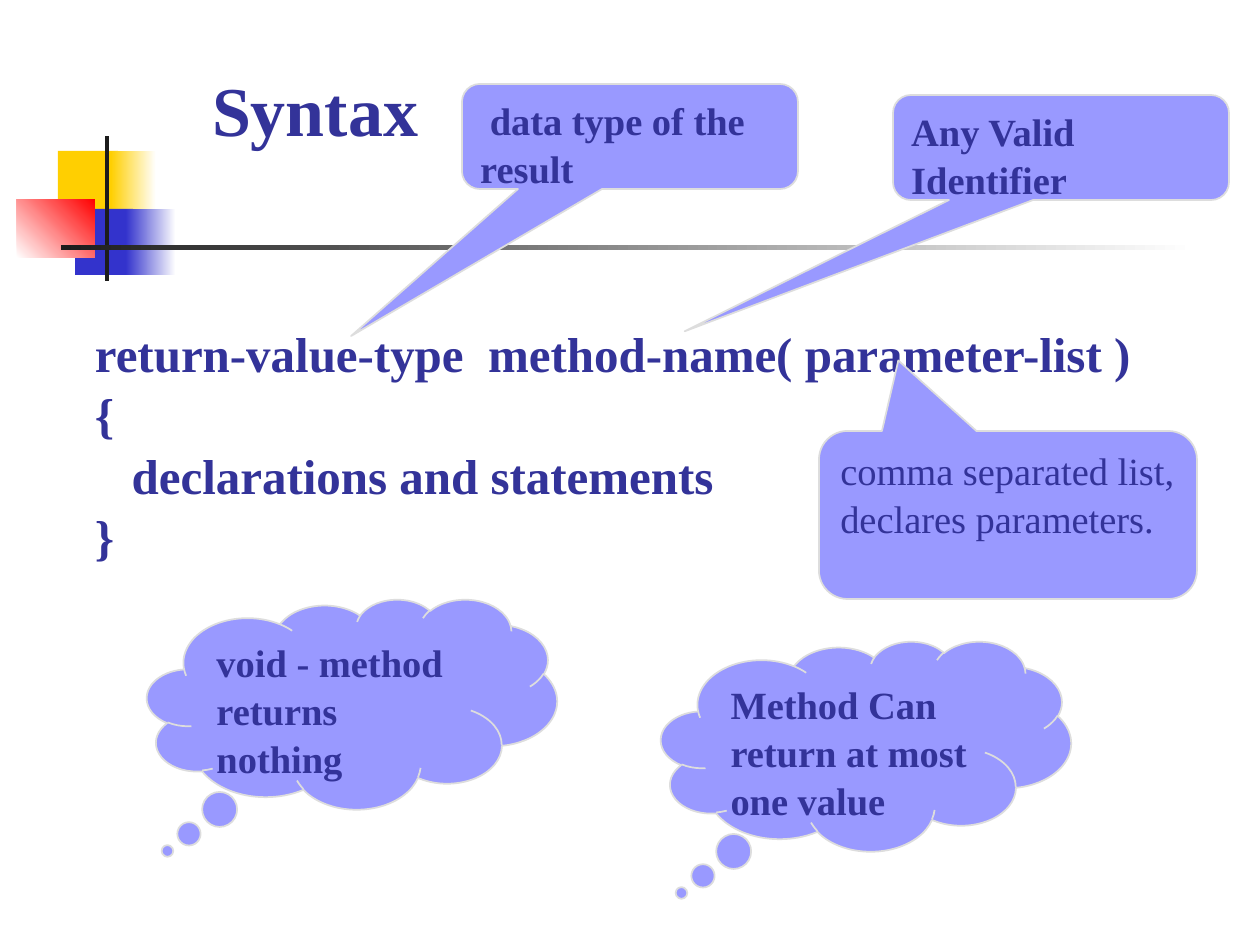
from pptx import Presentation
from pptx.dml.color import RGBColor
from pptx.enum.shapes import MSO_SHAPE
from pptx.enum.text import MSO_ANCHOR, PP_ALIGN
from pptx.util import Emu, Pt

PX = 914400 / 126
WIDTH, HEIGHT = 1260, 945
RECT = MSO_SHAPE.RECTANGLE
SPEECH = MSO_SHAPE.ROUNDED_RECTANGULAR_CALLOUT
CLOUD = MSO_SHAPE.CLOUD_CALLOUT
TOP, MIDDLE = MSO_ANCHOR.TOP, MSO_ANCHOR.MIDDLE
LEFT = PP_ALIGN.LEFT
FONT = "Times New Roman"
COLORS = {
    "ink": "333399",
    "callout": "9999FF",
    "outline": "DDDDDD",
    "yellow": "FFCF01",
    "blue": "3333CC",
    "red": "FF0000",
    "black": "1C1C1C",
    "white": "FFFFFF",
}


def px(value):
    return Emu(round(value * PX))


def color(name):
    return RGBColor.from_string(COLORS[name])


def write(frame, text, size=22, bold=True, anchor=TOP, margins=(13, 6)):
    """Fill a text frame, one paragraph for each line of text."""
    frame.word_wrap = True
    frame.vertical_anchor = anchor
    frame.margin_left = frame.margin_right = px(margins[0])
    frame.margin_top = frame.margin_bottom = px(margins[1])
    for index, line in enumerate(text.split("\n")):
        paragraph = frame.add_paragraph() if index else frame.paragraphs[0]
        paragraph.alignment = LEFT
        paragraph.line_spacing = 1.04
        run = paragraph.add_run()
        run.text = line
        run.font.name = FONT
        run.font.size = Pt(size)
        run.font.bold = bold
        run.font.color.rgb = color("ink")


class SlideBuilder:
    def __init__(self, slide):
        self.shapes = slide.shapes

    def shape(self, kind, box):
        shape = self.shapes.add_shape(kind, *map(px, box))
        shape.shadow.inherit = False
        return shape

    def block(self, box, start, end=None, angle=0):
        """A plain rectangle, fading from start to end when end is given."""
        block = self.shape(RECT, box)
        block.line.fill.background()
        if end is None:
            block.fill.solid()
            block.fill.fore_color.rgb = color(start)
            return
        block.fill.gradient()
        block.fill.gradient_angle = angle
        for stop, name in zip(block.fill.gradient_stops, (start, end)):
            stop.color.rgb = color(name)

    def callout(self, kind, box, pointer, text, **style):
        callout = self.shape(kind, box)
        for index, value in enumerate(pointer):
            callout.adjustments[index] = value
        callout.fill.solid()
        callout.fill.fore_color.rgb = color("callout")
        callout.line.color.rgb = color("outline")
        callout.line.width = Pt(1)
        write(callout.text_frame, text, **style)

    def text(self, box, text, **style):
        write(self.shapes.add_textbox(*map(px, box)).text_frame, text, **style)


def main():
    deck = Presentation()
    deck.slide_width, deck.slide_height = px(WIDTH), px(HEIGHT)
    page = SlideBuilder(deck.slides.add_slide(deck.slide_layouts[6]))

    # Corner ornament and title rule
    page.block((58, 151, 60, 66), "yellow")
    page.block((111, 151, 45, 66), "yellow", "white")
    page.block((75, 209, 58, 66), "blue")
    page.block((126, 209, 50, 66), "blue", "white")
    page.block((17, 199, 78, 59), "white", "red", angle=45)
    page.block((105, 136, 4, 145), "black")
    page.block((61, 245, 1134, 5), "black", "white")

    # Method syntax
    syntax = ("return-value-type  method-name( parameter-list )\n"
              "{\n"
              "   declarations and statements\n"
              "}")
    page.text((95, 321, 1092, 236), syntax, size=28, margins=(0, 0))

    # Title
    page.text((199, 16, 987, 181), "Syntax", size=40, anchor=MIDDLE)

    # Notes on the parts of the header
    page.callout(SPEECH, (462, 84, 336, 105), (-0.83, 1.9, 0.17),
                 " data type of the result")
    page.callout(SPEECH, (893, 95, 336, 105), (-1.12, 1.75, 0.17),
                 "Any Valid Identifier")
    page.callout(SPEECH, (819, 431, 378, 168), (-0.29, -0.92, 0.17),
                 "comma separated list, declares parameters.", bold=False)

    # Thoughts on return values
    thoughts = [
        (147, 599, "void - method returns nothing"),
        (661, 641, "Method Can return at most one value"),
    ]
    for left, top, thought in thoughts:
        page.callout(CLOUD, (left, top, 410, 210), (-0.45, 0.7), thought)

    deck.save("out.pptx")


if __name__ == "__main__":
    main()
